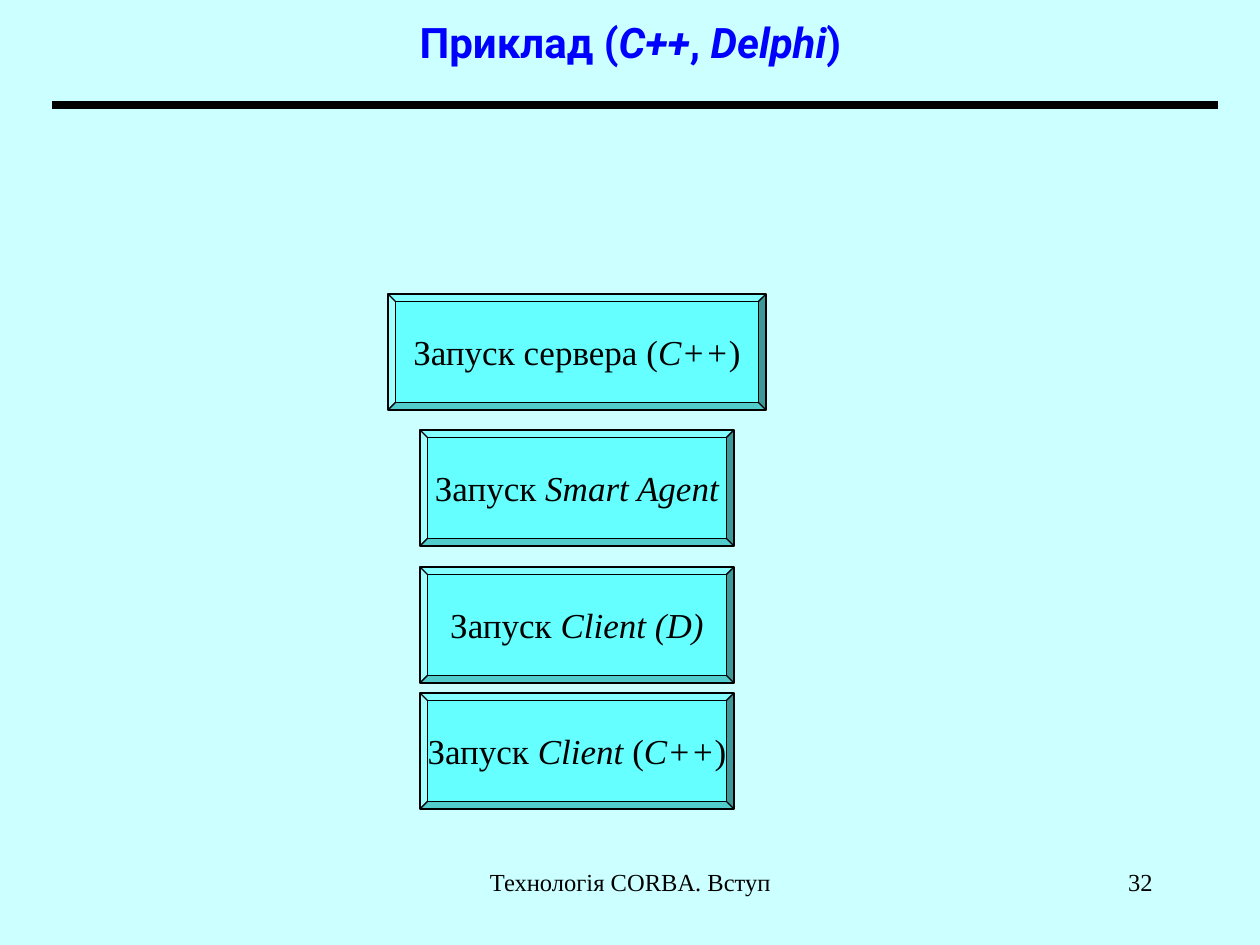
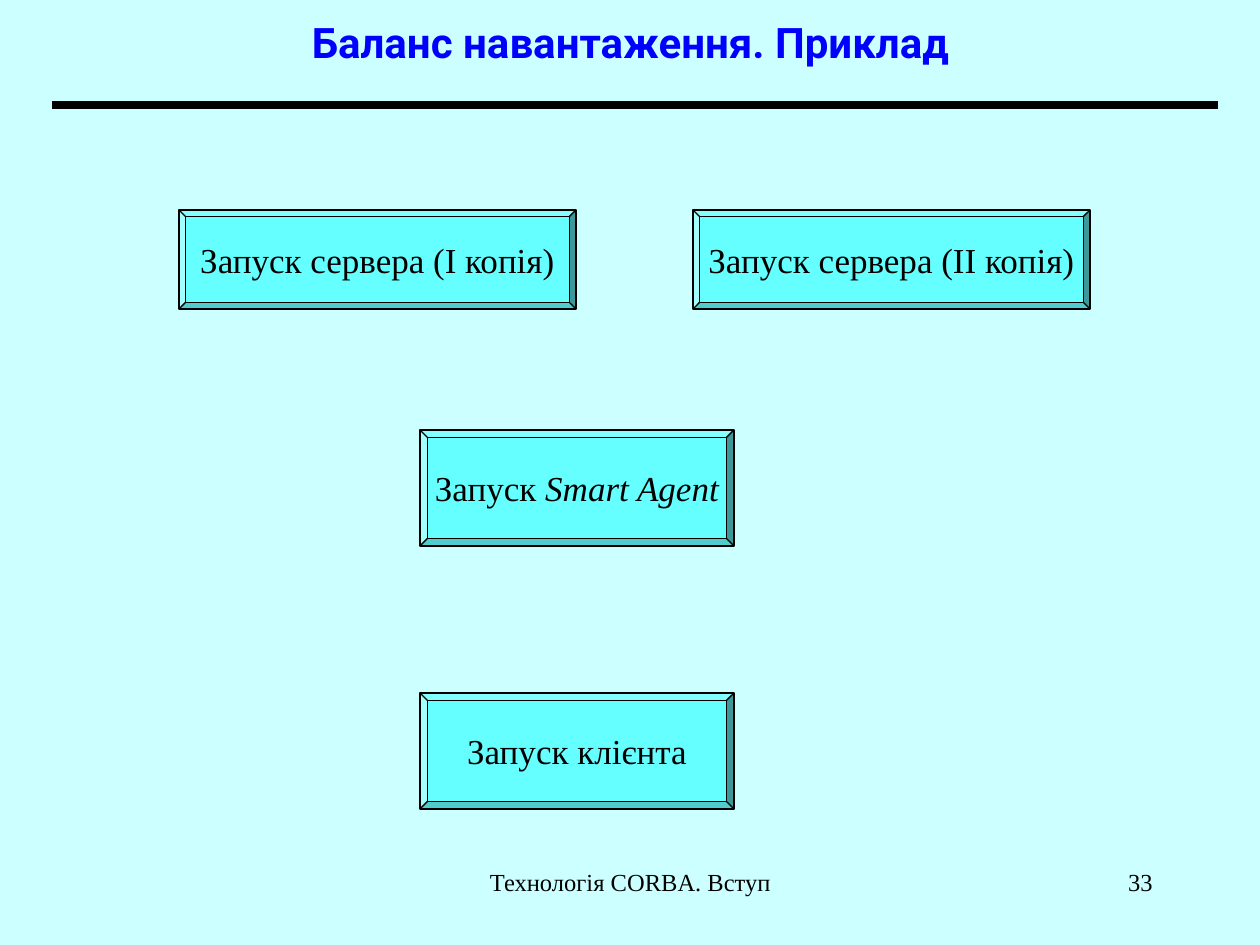
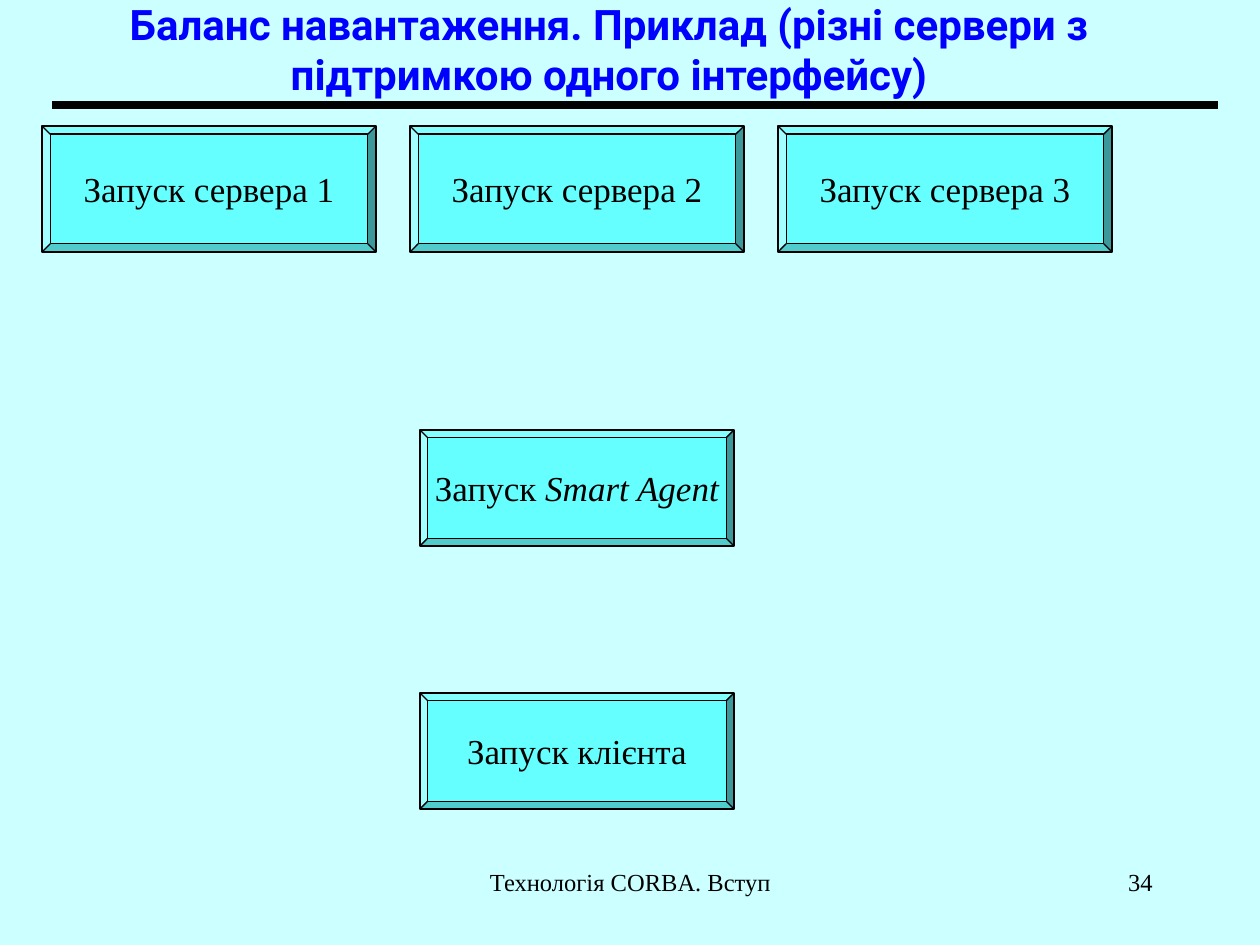
from lxml.etree import SubElement
from pptx import Presentation
from pptx.dml.color import RGBColor
from pptx.enum.shapes import MSO_CONNECTOR, MSO_SHAPE
from pptx.enum.text import MSO_ANCHOR, PP_ALIGN
from pptx.oxml.ns import qn
from pptx.util import Pt

EMU_PER_PX = 914400 / 126
COLORS = {name: RGBColor.from_string(value) for name, value in {
    "background": "CCFFFF", "title": "0000FF", "button": "66FFFF", "ink": "000000",
}.items()}
FORMATS = {
    "title": {"name": "Roboto", "size": Pt(24), "bold": True},
    "button": {"name": "Times New Roman", "size": Pt(20)},
    "footer": {"name": "Times New Roman", "size": Pt(14)},
}
FOOTER = "Технологія CORBA. Вступ"
FIRST_NUMBER = 32
BEVEL_DEPTH = 0.065

TITLE_BOX = (95, 0, 1071, 84)
WIDE_TITLE_BOX = (52, 14, 1114, 69)
FOOTER_BOX = (431, 861, 399, 63)
NUMBER_BOX = (903, 861, 262, 63)
BUTTON_LEFT, BUTTON_WIDTH, BUTTON_HEIGHT = 420, 314, 116
AGENT_TOP, CLIENT_TOP = 430, 693


def px(length):
    return round(length * EMU_PER_PX)


def scaled(box):
    return [px(length) for length in box]


def write(shape, text, style, color="ink", align=PP_ALIGN.CENTER, anchor=MSO_ANCHOR.MIDDLE, wrap=True):
    """Fill the shape with one paragraph; parts between asterisks are italic."""
    frame = shape.text_frame
    frame.word_wrap = wrap
    frame.vertical_anchor = anchor
    para = frame.paragraphs[0]
    para.alignment = align
    for index, part in enumerate(text.split("*")):
        if not part:
            continue
        span = para.add_run()
        span.text = part
        for key, value in FORMATS[style].items():
            setattr(span.font, key, value)
        span.font.italic = index % 2 == 1
        span.font.color.rgb = COLORS[color]


def add_text(page, box, text, style, **options):
    write(page.shapes.add_textbox(*scaled(box)), text, style, **options)


def add_button(page, box, text):
    button = page.shapes.add_shape(MSO_SHAPE.BEVEL, *scaled(box))
    button.adjustments[0] = BEVEL_DEPTH
    button.shadow.inherit = False
    button.fill.solid()
    button.fill.fore_color.rgb = COLORS["button"]
    button.line.color.rgb = COLORS["ink"]
    button.line.width = Pt(0.75)
    write(button, text, "button", wrap=False)


def add_column_button(page, top, text, widen=0):
    """Add a button to the middle column, optionally wider on both sides."""
    box = (BUTTON_LEFT - widen, top, BUTTON_WIDTH + 2 * widen, BUTTON_HEIGHT)
    add_button(page, box, text)


def add_button_row(page, box, step, texts):
    """Repeat a button of the given first box to the right."""
    left, top, width, height = box
    for index, text in enumerate(texts):
        add_button(page, (left + index * step, top, width, height), text)


def add_title_rule(page):
    rule = page.shapes.add_connector(MSO_CONNECTOR.STRAIGHT, *scaled((52, 105, 1218, 105)))
    rule.line.color.rgb = COLORS["ink"]
    rule.line.width = Pt(4.5)
    SubElement(rule._element.spPr, qn("a:effectLst"))


def add_page(deck, title, title_box=TITLE_BOX):
    page = deck.slides.add_slide(deck.slide_layouts[6])
    number = FIRST_NUMBER + len(deck.slides) - 1
    add_text(page, title_box, title, "title", color="title")
    add_title_rule(page)
    add_text(page, FOOTER_BOX, FOOTER, "footer", anchor=MSO_ANCHOR.TOP)
    add_text(page, NUMBER_BOX, str(number), "footer", align=PP_ALIGN.RIGHT, anchor=MSO_ANCHOR.TOP)
    return page


def add_launch_page(deck):
    page = add_page(deck, "Приклад (*C++*, *Delphi*)")
    add_column_button(page, 294, "Запуск сервера (*C++*)", widen=32)
    add_column_button(page, AGENT_TOP, "Запуск *Smart Agent*")
    add_column_button(page, 567, "Запуск *Client (D)*")
    add_column_button(page, CLIENT_TOP, "Запуск *Client *(*C++*)")


def add_balance_page(deck, title, title_box, first_server_box, step, servers):
    page = add_page(deck, title, title_box)
    add_button_row(page, first_server_box, step, servers)
    add_column_button(page, AGENT_TOP, "Запуск *Smart Agent*")
    add_column_button(page, CLIENT_TOP, "Запуск клієнта")


def main():
    deck = Presentation()
    deck.slide_width, deck.slide_height = px(1260), px(945)
    background = deck.slide_master.background.fill
    background.solid()
    background.fore_color.rgb = COLORS["background"]

    add_launch_page(deck)
    add_balance_page(
        deck, "Баланс навантаження. Приклад", TITLE_BOX, (179, 210, 397, 99), 514,
        [f"Запуск сервера ({copy} копія)" for copy in ("I", "II")])
    add_balance_page(
        deck, "Баланс навантаження. Приклад (різні сервери з підтримкою одного інтерфейсу)",
        WIDE_TITLE_BOX, (42, 126, 334, 126), 368,
        [f"Запуск сервера {number}" for number in (1, 2, 3)])
    deck.save("out.pptx")


if __name__ == "__main__":
    main()
